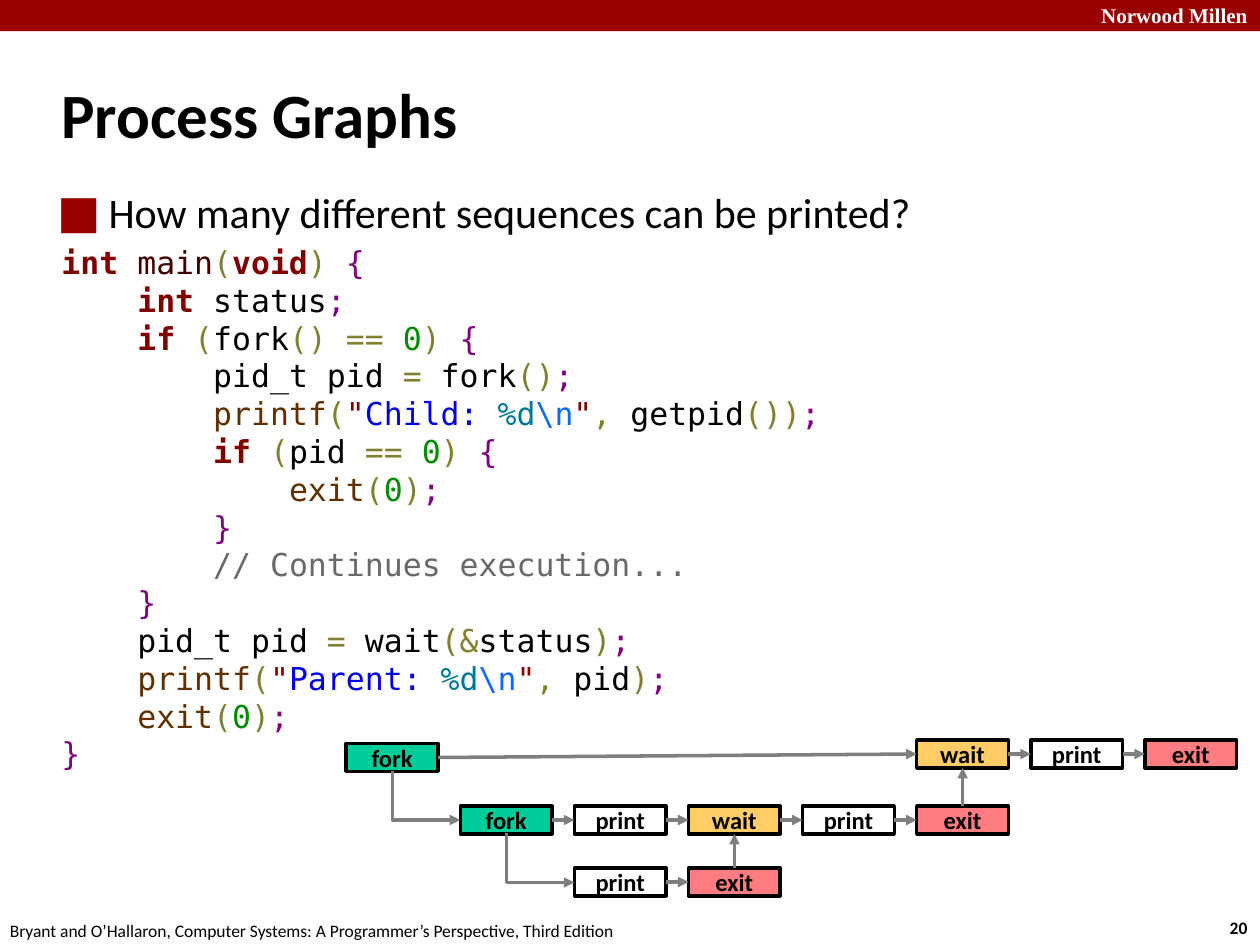
"""Build the Process Graphs slide: a forking C program and its process graph."""
from lxml.etree import SubElement
from pptx import Presentation
from pptx.dml.color import RGBColor
from pptx.enum.shapes import MSO_CONNECTOR, MSO_SHAPE
from pptx.enum.text import MSO_ANCHOR, PP_ALIGN
from pptx.oxml.ns import qn
from pptx.util import Cm, Pt


def color(hex_string):
    return RGBColor.from_string(hex_string)


def write(paragraph, text, size=10, font="Calibri", fill="000000", bold=False):
    run = paragraph.add_run()
    run.text = text
    run.font.size = Pt(size)
    run.font.name = font
    run.font.bold = bold
    run.font.color.rgb = color(fill)


presentation = Presentation()
presentation.slide_width, presentation.slide_height = Cm(25.4), Cm(19.05)
slide = presentation.slides.add_slide(presentation.slide_layouts[6])
shapes = slide.shapes

banner = shapes.add_shape(MSO_SHAPE.RECTANGLE, 0, 0, Cm(25.4), Cm(0.63))
banner.shadow.inherit = False
banner.fill.solid()
banner.fill.fore_color.rgb = color("990000")
banner.line.fill.background()

citation = "Bryant and O’Hallaron, Computer Systems: A Programmer’s Perspective, Third Edition"
school_format = dict(size=12, font="Times New Roman", fill="FFFFFF", bold=True)
question_format = dict(size=24)
frames = []
for left, top, width, height, text, text_format in [
    (21.95, -0.08, 3.63, 0.76, "Norwood Millen", school_format),
    (24.54, 18.36, 0.94, 0.69, "20", dict(bold=True)),
    (-0.05, 18.42, 12.9, 0.69, citation, {}),
    (0.99, 1.22, 21.08, 2.11, "Process Graphs", dict(size=36, bold=True)),
    (0.99, 3.63, 21.95, 13.82, "How many different sequences can be printed?", question_format),
]:
    frame = shapes.add_textbox(Cm(left), Cm(top), Cm(width), Cm(height)).text_frame
    frame.word_wrap = True
    write(frame.paragraphs[0], text, **text_format)
    frames.append(frame)
title, body = frames[-2:]
title.vertical_anchor = MSO_ANCHOR.MIDDLE

bullet = body.paragraphs[0]._p.get_or_add_pPr()
bullet.set("marL", str(Cm(0.95)))
bullet.set("indent", str(Cm(-0.95)))
SubElement(SubElement(bullet, qn("a:buClr")), qn("a:srgbClr"), val="990000")
SubElement(bullet, qn("a:buSzPct"), val="140000")
SubElement(bullet, qn("a:buFont"), typeface="DejaVu Sans Mono")
SubElement(bullet, qn("a:buChar"), char="■")

syntax = {
    "keyword": "800000", "main": "400000", "operator": "808030", "end": "800080",
    "name": "000000", "number": "008C00", "call": "603000", "quote": "800000",
    "string": "0000E6", "format": "007997", "escape": "0F69FF", "comment": "696969",
}
code_lines = [
    (0, "keyword:int |main:main|operator:(|keyword:void|operator:) |end:{"),
    (1, "keyword:int|name: status|end:;"),
    (1, "keyword:if |operator:(|name:fork|operator:() == |number:0|operator:) |end:{"),
    (2, "name:pid_t pid |operator:=|name: fork|operator:()|end:;"),
    (2, 'call:printf|operator:(|quote:"|string:Child: |format:%d|escape:\\n|quote:"'
        "|operator:,|name: getpid|operator:())|end:;"),
    (2, "keyword:if |operator:(|name:pid |operator:== |number:0|operator:) |end:{"),
    (3, "call:exit|operator:(|number:0|operator:)|end:;"),
    (2, "end:}"),
    (2, "comment:// Continues execution..."),
    (1, "end:}"),
    (1, "name:pid_t pid |operator:=|name: wait|operator:(&|name:status|operator:)|end:;"),
    (1, 'call:printf|operator:(|quote:"|string:Parent: |format:%d|escape:\\n|quote:"'
        "|operator:,|name: pid|operator:)|end:;"),
    (1, "call:exit|operator:(|number:0|operator:)|end:;"),
    (0, "end:}"),
]
code = body.add_paragraph()
code.space_before = Pt(3.6)
code.line_spacing = Pt(21.6)
for number, (depth, tokens) in enumerate(code_lines):
    if number:
        code.add_line_break()
    indent = "    " * depth
    for token in tokens.split("|"):
        role, text = token.split(":", 1)
        write(code, indent + text, size=18, font="DejaVu Sans Mono",
              fill=syntax[role], bold=role == "keyword")
        indent = ""

call_fills = {"fork": "00CC99", "print": "FFFFFF", "wait": "FFCC66", "exit": "FF7C80"}
processes = {
    "parent": (14.92, {0: "fork", 5: "wait", 6: "print", 7: "exit"}),
    "child": (16.25, {1: "fork", 2: "print", 3: "wait", 4: "print", 5: "exit"}),
    "grandchild": (17.5, {2: "print", 3: "exit"}),
}
calls = {}
for process, (top, steps) in processes.items():
    for column, call in steps.items():
        drop = 0.07 if column == 0 else 0
        box = shapes.add_shape(MSO_SHAPE.RECTANGLE, Cm(6.98 + 2.3 * column),
                               Cm(top + drop), Cm(1.85), Cm(0.56))
        box.shadow.inherit = False
        box.fill.solid()
        box.fill.fore_color.rgb = color(call_fills[call])
        box.line.color.rgb = color("000000")
        box.line.width = Pt(2)
        box.text_frame.vertical_anchor = MSO_ANCHOR.MIDDLE
        label = box.text_frame.paragraphs[0]
        label.alignment = PP_ALIGN.CENTER
        write(label, call, size=14, bold=True)
        calls[process, column] = box

arrows = []
joins = [(("child", 5), 0, ("parent", 5), 2), (("grandchild", 3), 0, ("child", 3), 2)]
for process, (top, steps) in processes.items():
    columns = list(steps)
    joins += [((process, start), 3, (process, end), 1)
              for start, end in zip(columns, columns[1:])]
for start, start_side, end, end_side in joins:
    arrow = shapes.add_connector(MSO_CONNECTOR.STRAIGHT, 0, 0, 0, 0)
    arrow.begin_connect(calls[start], start_side)
    arrow.end_connect(calls[end], end_side)
    arrows.append(arrow)

for fork in (calls["parent", 0], calls["child", 1]):
    left, top = fork.left + Cm(1.12), fork.top + Cm(0.36)
    branch = shapes.add_connector(MSO_CONNECTOR.ELBOW, left + Cm(0.99), top,
                                  left, top + Cm(1.37))
    properties = branch._element.spPr
    properties.find(qn("a:xfrm")).set("rot", "16200000")
    properties.find(qn("a:prstGeom")).set("prst", "bentConnector2")
    arrows.append(branch)

for arrow in arrows:
    arrow.line.color.rgb = color("7F7F7F")
    arrow.line.width = Pt(2)
    SubElement(arrow.line._get_or_add_ln(), qn("a:tailEnd"), type="triangle")
    SubElement(arrow._element.spPr, qn("a:effectLst"))

presentation.save("out.pptx")
